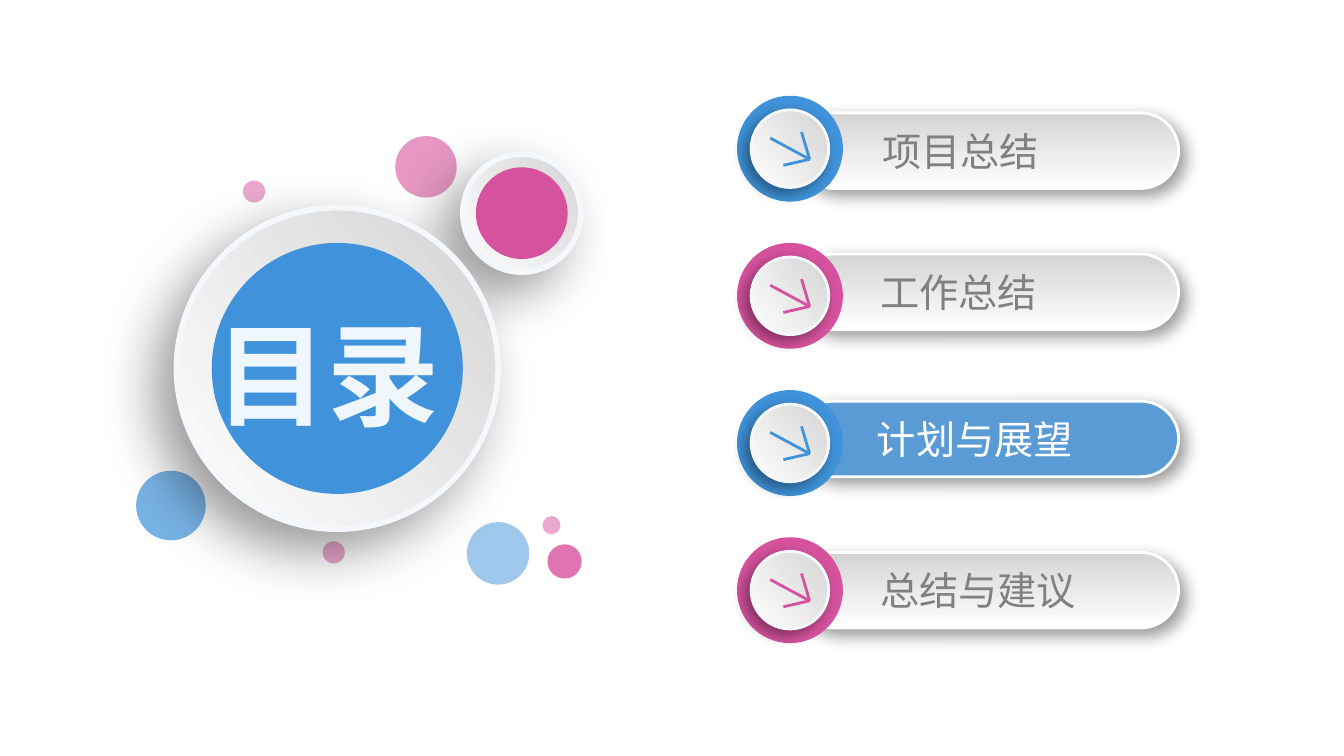
from lxml.etree import SubElement
from pptx import Presentation
from pptx.dml.color import RGBColor
from pptx.enum.shapes import MSO_CONNECTOR, MSO_SHAPE
from pptx.enum.text import MSO_ANCHOR, MSO_AUTO_SIZE, PP_ALIGN
from pptx.oxml.ns import qn
from pptx.util import Inches, Pt

COLORS = {
    "blue": "4093DA", "pink": "D7529E", "active": "5B9BD5", "white": "FFFFFF",
    "silver": "D4D4D4", "rim": "F4F8FC", "gray": "808080", "title": "EFF6FC",
    "shadow": "000000",
}


def add_solid(shapes, kind, left, top, width, height, fill=None, angle=0,
              alpha=100, rim=None, rim_width=2, shadow=None):
    """Add a preset shape; without a fill colour it gets the silver gradient."""
    shape = shapes.add_shape(kind, Inches(left), Inches(top), Inches(width), Inches(height))
    if fill:
        shape.fill.solid()
        shape.fill.fore_color.rgb = RGBColor.from_string(COLORS[fill])
        if alpha < 100:
            color = shape.element.spPr.find(".//" + qn("a:srgbClr"))
            SubElement(color, qn("a:alpha"), val=str(alpha * 1000))
    else:
        shape.fill.gradient()
        shape.fill.gradient_angle = angle
        for stop, name, position in zip(shape.fill.gradient_stops, ("white", "silver"), (0, 1)):
            stop.color.rgb = RGBColor.from_string(COLORS[name])
            stop.position = position
    if rim:
        shape.line.color.rgb = RGBColor.from_string(COLORS[rim])
        shape.line.width = Pt(rim_width)
    else:
        shape.line.fill.background()
    shape.shadow.inherit = False
    if shadow:
        blur, distance, direction = shadow
        effects = shape.element.spPr.find(qn("a:effectLst"))
        outer = SubElement(effects, qn("a:outerShdw"), blurRad=str(Pt(blur)), dist=str(Pt(distance)),
                           dir=str(direction * 60000), algn="ctr", rotWithShape="0")
        color = SubElement(outer, qn("a:srgbClr"), val=COLORS["shadow"])
        SubElement(color, qn("a:alpha"), val="40000")
    return shape


def write(box, text, size, color, font, bold=False, align=PP_ALIGN.LEFT, wrap=True):
    frame = box.text_frame
    frame.word_wrap = wrap
    frame.auto_size = MSO_AUTO_SIZE.NONE
    para = frame.paragraphs[0]
    para.alignment = align
    span = para.add_run()
    span.text = text
    span.font.size = Pt(size)
    span.font.bold = bold
    span.font.name = font
    span.font.color.rgb = RGBColor.from_string(COLORS[color])
    SubElement(span.font._element, qn("a:ea"), typeface=font)


deck = Presentation()
deck.slide_width, deck.slide_height = Inches(13.33), Inches(7.5)
page = deck.slides.add_slide(deck.slide_layouts[5])

# Agenda rows: text, accent, bar top, text left, bar fill, text colour
ROW_TOP, ROW_PITCH, RING_LEFT = 0.95, 1.46, 7.31
ROWS = [
    ("项目总结", "blue", 1.12, 8.65, None, "gray"),
    ("工作总结", "pink", 2.52, 8.63, None, "gray"),
    ("计划与展望", "blue", 3.98, 8.6, "active", "white"),
    ("总结与建议", "pink", 5.48, 8.63, None, "gray"),
]
# Arrow strokes, measured from the corner of the ring
TIP = (0.72, 0.63)
TAILS = [(0.33, 0.42), (0.64, 0.36), (0.46, 0.69)]

for index, (text, accent, bar_top, text_left, bar_fill, text_color) in enumerate(ROWS):
    top = ROW_TOP + index * ROW_PITCH
    row = page.shapes.add_group_shape().shapes
    bar = add_solid(row, MSO_SHAPE.ROUNDED_RECTANGLE, 7.89, bar_top, 3.8, 0.75, fill=bar_fill,
                    angle=90, rim="white", shadow=(12, 6, 45))
    bar.adjustments[0] = 0.5
    label = row.add_textbox(Inches(text_left), Inches(bar_top + 0.09), Inches(2.8), Inches(0.57))
    write(label, text, 28, text_color, "Noto Sans CJK SC")
    add_solid(row, MSO_SHAPE.OVAL, RING_LEFT, top, 1.05, 1.05, fill=accent)
    add_solid(row, MSO_SHAPE.OVAL, RING_LEFT + 0.14, top + 0.14, 0.77, 0.77,
              angle=40, rim="rim", shadow=(10, 5, 135))
    for tail_x, tail_y in TAILS:
        stroke = row.add_connector(MSO_CONNECTOR.STRAIGHT,
                                   Inches(RING_LEFT + tail_x), Inches(top + tail_y),
                                   Inches(RING_LEFT + TIP[0]), Inches(top + TIP[1]))
        stroke.line.color.rgb = RGBColor.from_string(COLORS[accent])
        stroke.line.width = Pt(2)
        SubElement(stroke.element.spPr, qn("a:effectLst"))

# Loose bubbles: left, top, diameter, colour, opacity
BUBBLES = [
    (1.35, 4.67, 0.69, "blue", 70), (3.92, 1.35, 0.61, "pink", 60),
    (2.41, 1.79, 0.22, "pink", 50), (5.43, 5.4, 0.34, "pink", 80),
    (4.63, 5.18, 0.62, "blue", 50), (3.2, 5.37, 0.22, "pink", 50),
    (5.38, 5.12, 0.18, "pink", 50),
]
for left, top, size, color, alpha in BUBBLES:
    add_solid(page.shapes, MSO_SHAPE.OVAL, left, top, size, size, fill=color, alpha=alpha)

# Framed discs: left, top, diameter, inset of the coloured core, colour
DISCS = [(4.59, 1.53, 1.17, 0.13, "pink"), (1.75, 2.06, 3.19, 0.35, "blue")]
for left, top, size, inset, color in DISCS:
    disc = page.shapes.add_group_shape().shapes
    add_solid(disc, MSO_SHAPE.OVAL, left, top, size, size,
              angle=40, rim="rim", rim_width=4, shadow=(40, 20, 135))
    core = size - 2 * inset
    add_solid(disc, MSO_SHAPE.OVAL, left + inset, top + inset, core, core, fill=color)

# Title on top of the blue disc
title = page.shapes.title
title.left, title.top, title.width, title.height = (
    Inches(2.02), Inches(2.97), Inches(2.46), Inches(1.45))
title.text_frame.vertical_anchor = MSO_ANCHOR.MIDDLE
write(title, "目录", 80, "title", "Arial", bold=True, align=PP_ALIGN.CENTER, wrap=False)
title.element.getparent().append(title.element)

deck.save("out.pptx")
